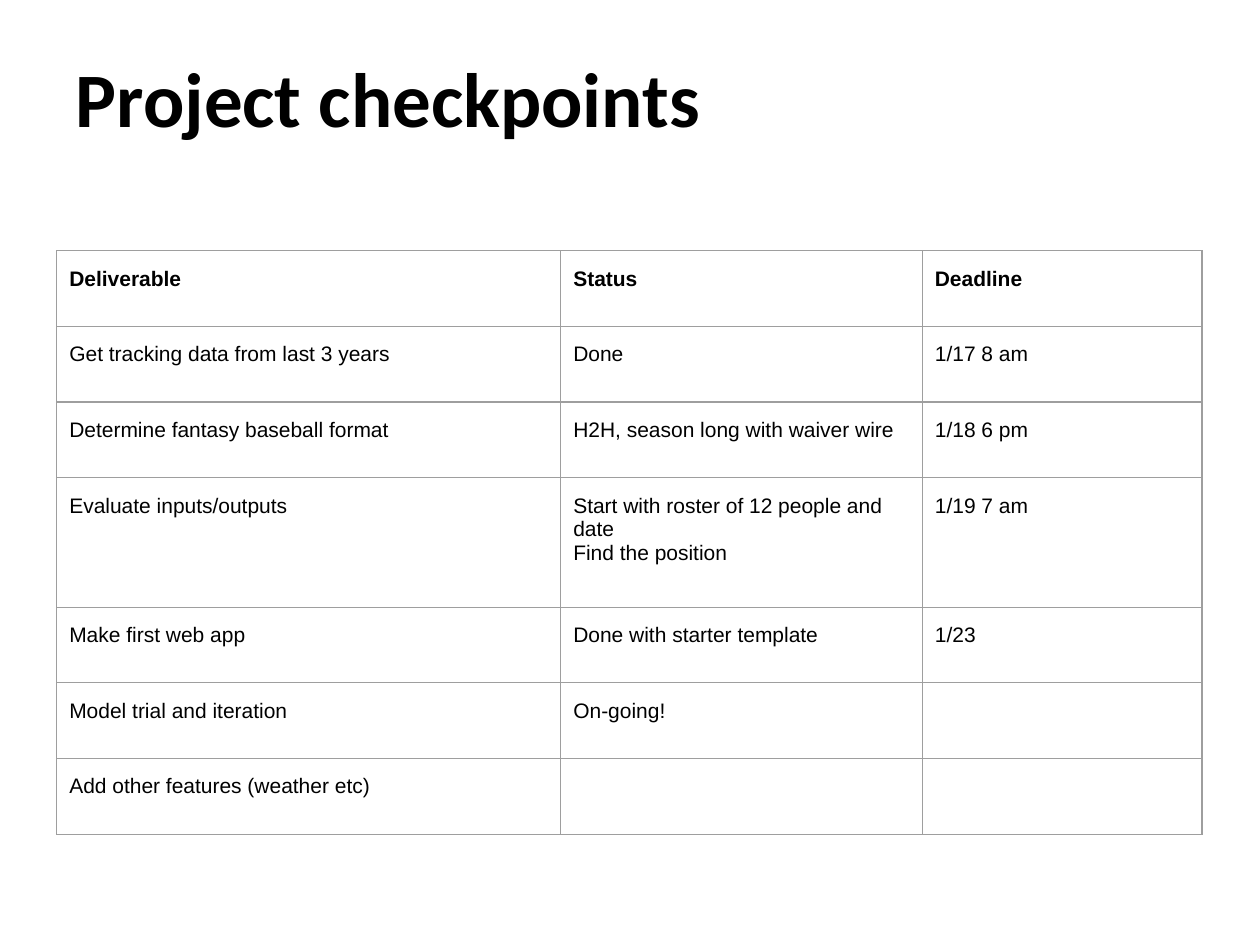
from lxml import etree
from pptx import Presentation
from pptx.dml.color import RGBColor
from pptx.enum.text import MSO_ANCHOR, PP_ALIGN
from pptx.oxml.ns import qn
from pptx.util import Inches, Pt

TOP = MSO_ANCHOR.TOP
LEFT = PP_ALIGN.LEFT
TITLE_ONLY = 5
COLORS = {"text": "000000", "border": "9E9E9E"}

CHECKPOINTS = [
    ("Deliverable", "Status", "Deadline"),
    ("Get tracking data from last 3 years", "Done", "1/17 8 am"),
    ("Determine fantasy baseball format", "H2H, season long with waiver wire", "1/18 6 pm"),
    ("Evaluate inputs/outputs",
     "Start with roster of 12 people and date\nFind the position", "1/19 7 am"),
    ("Make first web app", "Done with starter template", "1/23"),
    ("Model trial and iteration", "On-going!", ""),
    ("Add other features (weather etc)", "", ""),
]
COLUMN_WIDTHS = [4, 2.87, 2.22]
ROW_HEIGHT = 0.6
TALL_ROW, TALL_HEIGHT = 3, 1.03


class SlideBuilder:
    title_font, title_size = "Calibri", 44
    body_font, body_size = "Arial", 12
    border_width = 0.75

    def __init__(self, prs):
        self.s = prs.slides.add_slide(prs.slide_layouts[TITLE_ONLY])

    def format_text(self, tf, font, size, bold):
        for p in tf.paragraphs:
            p.alignment = LEFT
            for r in p.runs:
                r.font.name = font
                r.font.size = Pt(size)
                r.font.bold = bold
                r.font.color.rgb = RGBColor.from_string(COLORS["text"])

    def title(self, text, left, top, width, height):
        sp = self.s.shapes.title
        sp.left, sp.top = Inches(left), Inches(top)
        sp.width, sp.height = Inches(width), Inches(height)
        tf = sp.text_frame
        tf.text = text
        tf.vertical_anchor = TOP
        tf.margin_left = tf.margin_right = Inches(0.1)
        tf.margin_top = tf.margin_bottom = Inches(0.1)
        self.format_text(tf, self.title_font, self.title_size, True)

    def borders(self, cell):
        tc_pr = cell._tc.get_or_add_tcPr()
        for side in ("a:lnL", "a:lnR", "a:lnT", "a:lnB"):
            line = etree.SubElement(tc_pr, qn(side), w=str(Pt(self.border_width)))
            fill = etree.SubElement(line, qn("a:solidFill"))
            etree.SubElement(fill, qn("a:srgbClr"), val=COLORS["border"])

    def cell(self, cell, text, bold):
        cell.text_frame.text = text
        cell.margin_left = cell.margin_right = Inches(0.1)
        cell.margin_top = cell.margin_bottom = Inches(0.13)
        cell.vertical_anchor = TOP
        self.format_text(cell.text_frame, self.body_font, self.body_size, bold)
        self.borders(cell)
        cell.fill.background()

    def table(self, rows, widths, heights, left, top):
        table = self.s.shapes.add_table(
            len(rows), len(widths), Inches(left), Inches(top),
            Inches(sum(widths)), Inches(sum(heights))).table
        table.first_row = table.horz_banding = False
        for column, width in zip(table.columns, widths):
            column.width = Inches(width)
        for i, (row, height) in enumerate(zip(rows, heights)):
            table.rows[i].height = Inches(height)
            for j, text in enumerate(row):
                self.cell(table.cell(i, j), text, bold=i == 0)


def main():
    prs = Presentation()
    prs.slide_width, prs.slide_height = Inches(10), Inches(7.5)
    slide = SlideBuilder(prs)
    slide.title("Project checkpoints", 0.5, 0.3, 9, 1.25)
    heights = [TALL_HEIGHT if i == TALL_ROW else ROW_HEIGHT
               for i in range(len(CHECKPOINTS))]
    slide.table(CHECKPOINTS, COLUMN_WIDTHS, heights, 0.45, 1.99)
    prs.save("out.pptx")


if __name__ == "__main__":
    main()
